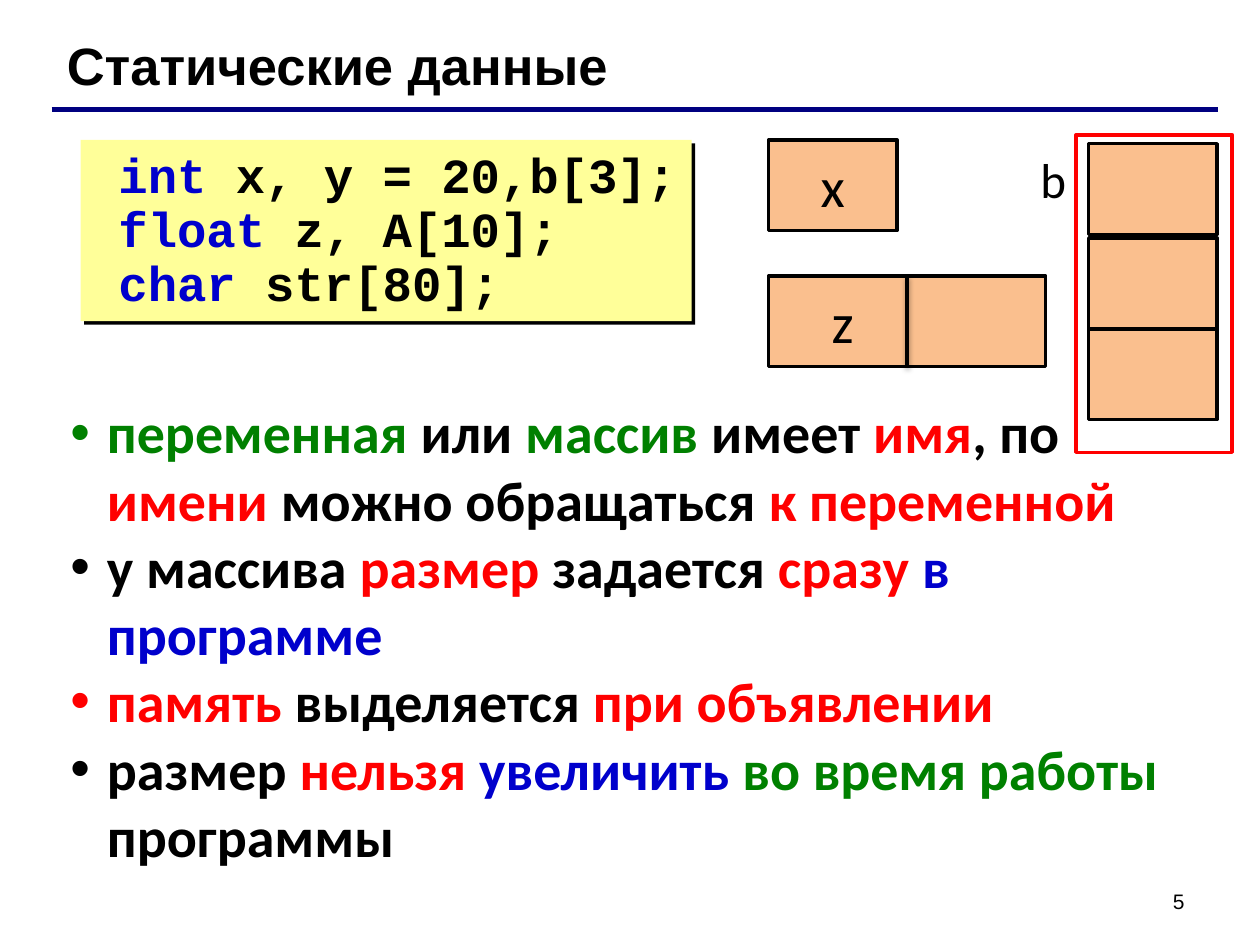
import pptx
import pptx.dml.color
import pptx.enum.shapes
import pptx.enum.text
import pptx.oxml.ns
import pptx.util
from lxml import etree
from pptx.util import Inches

COLORS = {
    "black": "000000", "green": "008000", "red": "FF0000", "blue": "0000CC",
    "navy": "000080", "yellow": "FFFF99", "orange": "FABF8E",
}
ALIGN = pptx.enum.text.PP_ALIGN
ANCHOR = pptx.enum.text.MSO_ANCHOR
CODE = [
    [("int", "blue"), (" x, y = 20,b[3];", "black")],
    [("float", "blue"), (" z, A[10];", "black")],
    [("char", "blue"), (" str[80];", "black")],
]
BULLETS = [
    [("переменная", "green"), (" или ", "black"), ("массив", "green"),
     (" имеет ", "black"), ("имя", "red"), (", по ", "black"), ("имени", "red"),
     (" можно обращаться ", "black"), ("к переменной", "red")],
    [("у массива ", "black"), ("размер", "red"), (" задается ", "black"),
     ("сразу ", "red"), ("в программе", "blue")],
    [("память", "red"), (" выделяется ", "black"), ("при объявлении", "red")],
    [("размер ", "black"), ("нельзя ", "red"), ("увеличить ", "blue"),
     ("во время работы ", "green"), ("программы", "black")],
]


def color(name):
    """Return the palette colour with this name."""
    return pptx.dml.color.RGBColor.from_string(COLORS[name])


def add_node(parent, tag, **values):
    """Append a drawing element and return it."""
    return etree.SubElement(parent, pptx.oxml.ns.qn(tag), values)


def set_values(target, values):
    """Set attributes from a dict."""
    for name, value in values.items():
        setattr(target, name, value)


def write(shape, lines, font, size, bold=False, align=ALIGN.LEFT,
          anchor=ANCHOR.TOP, **paragraph_format):
    """Fill a shape with lines of coloured spans."""
    frame = shape.text_frame
    set_values(frame, {"word_wrap": True, "vertical_anchor": anchor,
                       "auto_size": pptx.enum.text.MSO_AUTO_SIZE.NONE})
    for index, line in enumerate(lines):
        para = frame.add_paragraph() if index else frame.paragraphs[0]
        set_values(para, {"alignment": align, **paragraph_format})
        for text, name in line:
            span = para.add_run()
            span.text = text
            set_values(span.font, {"name": font, "size": pptx.util.Pt(size), "bold": bold})
            span.font.color.rgb = color(name)


def place(shape, left, top, width, height):
    """Move and size a shape."""
    set_values(shape, {"left": Inches(left), "top": Inches(top),
                       "width": Inches(width), "height": Inches(height)})


def add_text(page, area, lines, font, size, **options):
    """Add a text box."""
    box = page.shapes.add_textbox(*map(Inches, area))
    write(box, lines, font, size, **options)
    return box


def add_box(page, area, fill=None, line=None):
    """Add a rectangle with an optional fill and outline."""
    box = page.shapes.add_shape(pptx.enum.shapes.MSO_SHAPE.RECTANGLE, *map(Inches, area))
    box.shadow.inherit = False
    if fill:
        box.fill.solid()
        box.fill.fore_color.rgb = color(fill)
    else:
        box.fill.background()
    if line:
        box.line.color.rgb = color(line)
        box.line.width = pptx.util.Pt(2)
    else:
        box.line.fill.background()
    return box


def add_line(page, start, end, name, width):
    """Add a straight line and return its effect list."""
    line = page.shapes.add_connector(
        pptx.enum.shapes.MSO_CONNECTOR.STRAIGHT, *map(Inches, (*start, *end)))
    line.line.color.rgb = color(name)
    line.line.width = pptx.util.Pt(width)
    return add_node(line._element.spPr, "a:effectLst")


def add_shadow(effects, blur, distance, angle, opacity):
    """Add a black outer shadow to an effect list."""
    shadow = add_node(effects, "a:outerShdw", blurRad=str(pptx.util.Pt(blur)),
                      dist=str(pptx.util.Pt(distance)), dir=str(angle * 60000),
                      algn="ctr", rotWithShape="0")
    tint = add_node(shadow, "a:srgbClr", val=COLORS["black"])
    add_node(tint, "a:alpha", val=str(opacity * 1000))


def add_bullets(page):
    """Add the list, each bullet coloured like its first span."""
    box = add_text(page, (0.46, 3.11, 9.21, 3.47), BULLETS, "Calibri", 32, bold=True)
    for para, line in zip(box.text_frame.paragraphs, BULLETS):
        properties = para._p.get_or_add_pPr()
        properties.set("marL", str(Inches(0.29)))
        properties.set("indent", str(Inches(-0.29)))
        tint = add_node(properties, "a:buClr")
        add_node(tint, "a:srgbClr", val=COLORS[line[0][1]])
        add_node(properties, "a:buFont", typeface="Arial")
        add_node(properties, "a:buChar", char="•")


def add_code(page):
    """Add the code listing with its hard shadow."""
    box = add_box(page, (0.64, 1.11, 4.85, 1.44), "yellow")
    add_shadow(box._element.spPr.find(pptx.oxml.ns.qn("a:effectLst")), 0, 2.8, 45, 100)
    write(box, CODE, "Courier New", 28, bold=True, line_spacing=0.92,
          space_before=pptx.util.Pt(0))
    set_values(box.text_frame, {"margin_left": Inches(0.3), "margin_top": Inches(0.08),
                                "margin_bottom": Inches(0)})


def add_memory(page):
    """Add the memory cells of x, z and array b."""
    cell = (1.02, 0.72)
    single = add_box(page, (6.1, 1.11, *cell), "orange", "black")
    write(single, [[("x", "black")]], "Calibri", 32, align=ALIGN.CENTER, anchor=ANCHOR.MIDDLE)
    double = add_box(page, (6.1, 2.19, 2.2, 0.72), "orange", "black")
    write(double, [[("z", "black")]], "Calibri", 32, anchor=ANCHOR.MIDDLE)
    double.text_frame.margin_left = Inches(0.5)
    add_shadow(add_line(page, (7.2, 2.19), (7.2, 2.91), "black", 2), 3.1, 1.6, 90, 38)
    for top in (1.14, 1.89, 2.61):
        add_box(page, (8.64, top, *cell), "orange", "black")
    add_text(page, (8.16, 1.14, 0.57, 0.57), [[("b", "black")]], "Calibri", 28)
    add_box(page, (8.54, 1.07, 1.24, 2.52), line="red")


def main():
    """Build and save the slide."""
    deck = pptx.Presentation()
    set_values(deck, {"slide_width": Inches(10), "slide_height": Inches(7.5)})
    page = deck.slides.add_slide(deck.slide_layouts[5])
    title = page.shapes.title
    place(title, 0.43, 0.21, 8.9, 0.6)
    write(title, [[("Статические данные", "black")]], "Arial", 30, bold=True)
    add_text(page, (7.17, 6.95, 2.33, 0.4), [[("5", "black")]], "Arial", 12,
             align=ALIGN.RIGHT, anchor=ANCHOR.MIDDLE)
    add_line(page, (0.41, 0.87), (9.67, 0.87), "navy", 3)
    add_bullets(page)
    add_code(page)
    add_memory(page)
    deck.save("out.pptx")


if __name__ == "__main__":
    main()
